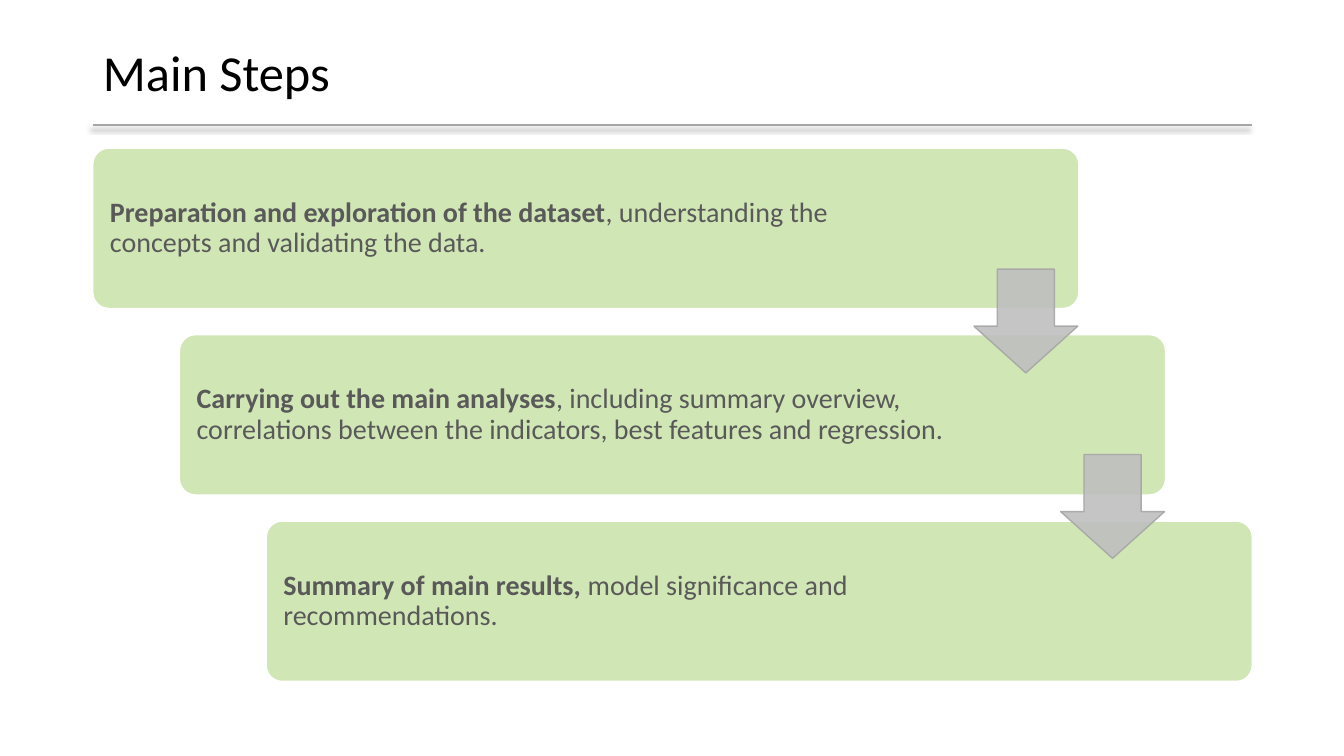
import pptx
import pptx.util
import pptx.dml.color
import pptx.enum.shapes
import pptx.enum.text
import pptx.oxml
import pptx.oxml.ns
from pptx.util import Inches

NS = pptx.oxml.ns.nsdecls("a")
SHAPE = pptx.enum.shapes.MSO_SHAPE
ANCHOR = pptx.enum.text.MSO_ANCHOR


def tint(fmt, hue, alpha=100):
    """Set a solid colour on a fill, with opacity in percent."""
    fmt.solid()
    fmt.fore_color.rgb = pptx.dml.color.RGBColor.from_string(hue)
    if alpha < 100:
        for node in fmt._xPr.iter(pptx.oxml.ns.qn("a:srgbClr")):
            node.append(pptx.oxml.parse_xml(f'<a:alpha {NS} val="{alpha * 1000}"/>'))


def write(para, text, size, hue, bold=False):
    run = para.add_run()
    run.text = text
    look = {"name": "Calibri", "size": pptx.util.Pt(size), "bold": bold}
    for key, val in look.items():
        setattr(run.font, key, val)
    tint(run.font.fill, hue)


deck = pptx.Presentation()
deck.slide_width, deck.slide_height = Inches(13.33), Inches(7.5)
slide = deck.slides.add_slide(deck.slide_layouts[5])
shapes = slide.shapes

# Title and rule
title = shapes.title
place = {"left": 0.92, "top": 0.02, "width": 11.5, "height": 1.45}
for key, val in place.items():
    setattr(title, key, Inches(val))
title.text_frame.vertical_anchor = ANCHOR.MIDDLE
head = title.text_frame.paragraphs[0]
head.alignment = pptx.enum.text.PP_ALIGN.LEFT
head.line_spacing = 0.9
write(head, "Main Steps", 36, "000000")

rule = shapes.add_connector(pptx.enum.shapes.MSO_CONNECTOR.STRAIGHT,
                            Inches(0.92), Inches(1.24), Inches(12.42), Inches(1.24))
tint(rule.line.fill, "A6A6A6")
rule.line.width = pptx.util.Pt(1.5)
rule._element.spPr.append(pptx.oxml.parse_xml(
    f'<a:effectLst {NS}><a:outerShdw blurRad="50800" dist="38100" dir="8100000" '
    'algn="tr" rotWithShape="0"><a:srgbClr val="000000"><a:alpha val="40000"/>'
    '</a:srgbClr></a:outerShdw></a:effectLst>'))

# Steps: bold lead, rest, text width
steps = [
    ("Preparation and exploration of the dataset",
     ", understanding the concepts and validating the data.", 8.06),
    ("Carrying out the main analyses",
     ", including summary overview, correlations between the indicators, "
     "best features and regression.", 7.79),
    ("Summary of main results, ", "model significance and recommendations.", 7.79),
]
frame = {"word_wrap": True, "vertical_anchor": ANCHOR.MIDDLE,
         "margin_left": Inches(0.12), "margin_right": Inches(0.12),
         "margin_top": Inches(0.08), "margin_bottom": Inches(0.08)}
for i, (lead, rest, width) in enumerate(steps):
    left, top = 0.92 + 0.86 * i, 1.47 + 1.85 * i
    card = shapes.add_shape(SHAPE.ROUNDED_RECTANGLE, Inches(left), Inches(top),
                            Inches(9.78), Inches(1.59))
    card.adjustments[0] = 0.1
    card.shadow.inherit = False
    tint(card.fill, "D1E6B5")
    tint(card.line.fill, "FFFFFF")
    card.line.width = pptx.util.Pt(1)

    box = shapes.add_textbox(Inches(left + 0.05), Inches(top + 0.05),
                             Inches(width), Inches(1.49))
    for key, val in frame.items():
        setattr(box.text_frame, key, val)
    para = box.text_frame.paragraphs[0]
    para.line_spacing = 0.9
    write(para, lead, 20, "595959", True)
    write(para, rest, 20, "595959")

# Arrows between steps, in front of the cards
for i in range(len(steps) - 1):
    arrow = shapes.add_shape(SHAPE.DOWN_ARROW, Inches(9.66 + 0.86 * i),
                             Inches(2.67 + 1.84 * i), Inches(1.03), Inches(1.03))
    arrow.adjustments[0] = 0.55
    arrow.adjustments[1] = 0.45
    arrow.shadow.inherit = False
    tint(arrow.fill, "BFBFBF", 90)
    tint(arrow.line.fill, "A6A6A6", 90)
    arrow.line.width = pptx.util.Pt(1)

deck.save("out.pptx")
